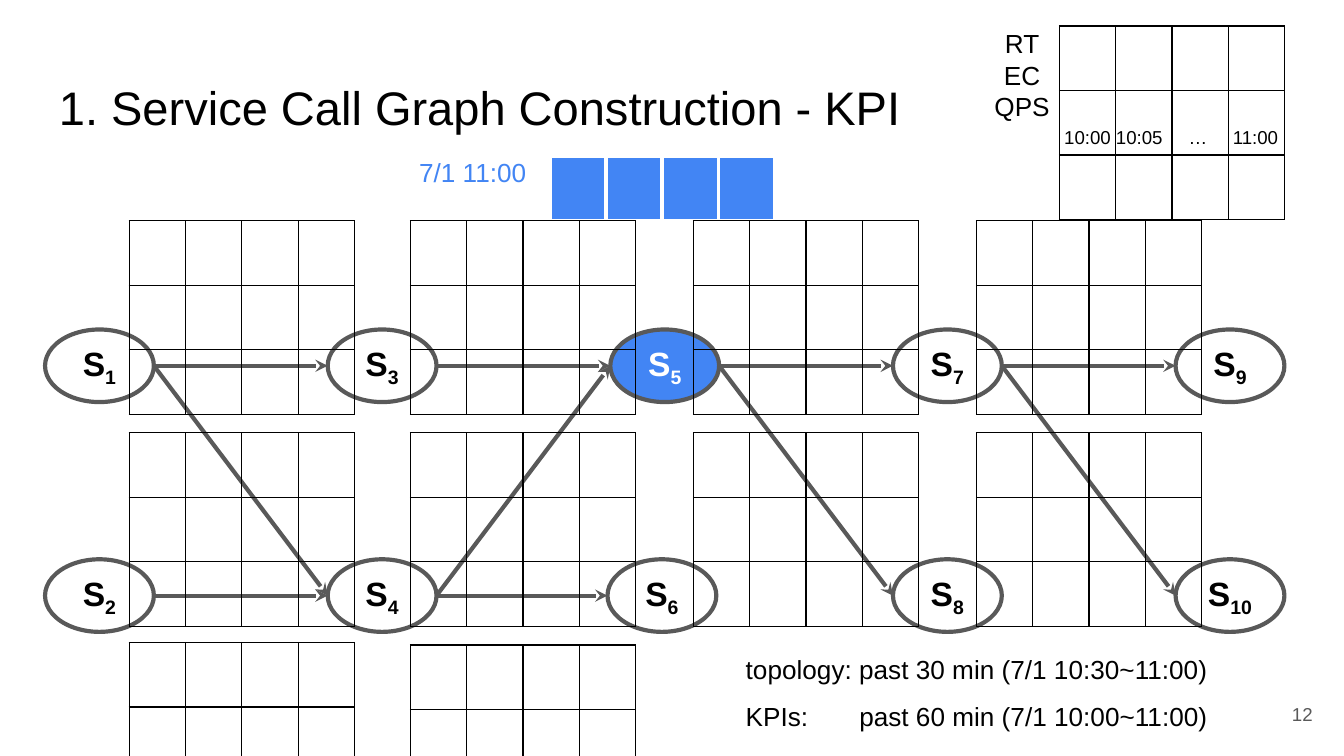
from lxml import etree
from pptx import Presentation
from pptx.dml import color
from pptx.enum import shapes, text
from pptx.oxml import ns
from pptx.util import Inches, Pt

BLACK, WHITE, GRAY, BLUE = "000000", "FFFFFF", "595959", "4285F4"
LEFT, MID, RIGHT = text.PP_ALIGN.LEFT, text.PP_ALIGN.CENTER, text.PP_ALIGN.RIGHT


def rgb(code):
    return color.RGBColor.from_string(code)


def child(node, tag, **attrs):
    return etree.SubElement(node, ns.qn(tag), attrs)


def apply(obj, style):
    for key, val in style.items():
        setattr(obj, key, val)


class Deck:
    face = "Arial"
    unit = 0.1
    wide, high = 100, 56.25
    inset = 1
    stroke = 2.25

    def __init__(self):
        self.prs = Presentation()
        self.prs.slide_width = self.cell(self.wide)
        self.prs.slide_height = self.cell(self.high)
        self.slide = self.prs.slides.add_slide(self.prs.slide_layouts[6])

    def cell(self, count):
        return Inches(count * self.unit)

    def box(self, *cells):
        return [self.cell(count) for count in cells]

    def frame(self, item, anchor, wrap=True):
        gap = self.cell(self.inset)
        apply(item.text_frame, dict(
            word_wrap=wrap, vertical_anchor=anchor, margin_left=gap,
            margin_right=gap, margin_top=gap, margin_bottom=gap))
        return item.text_frame

    def run(self, para, words, size, hue, bold=False):
        run = para.add_run()
        run.text = words
        apply(run.font, dict(name=self.face, size=Pt(size), bold=bold))
        run.font.color.rgb = rgb(hue)
        return run

    def label(self, at, lines, size, hue=BLACK, align=LEFT,
              anchor=text.MSO_ANCHOR.TOP, tabs=()):
        body = self.frame(self.slide.shapes.add_textbox(*self.box(*at)), anchor)
        for num, words in enumerate(lines):
            para = body.add_paragraph() if num else body.paragraphs[0]
            para.alignment = align
            self.run(para, words, size, hue)
            if tabs:
                stops = child(para._p.get_or_add_pPr(), "a:tabLst")
                for stop in tabs:
                    child(stops, "a:tab", pos=str(self.cell(stop)), algn="l")

    def node(self, at, mark, fill=None, hue=BLACK):
        oval = self.slide.shapes.add_shape(shapes.MSO_SHAPE.OVAL, *self.box(*at))
        oval.shadow.inherit = False
        if fill:
            oval.fill.solid()
            oval.fill.fore_color.rgb = rgb(fill)
        else:
            oval.fill.background()
        oval.line.color.rgb = rgb(GRAY)
        oval.line.width = Pt(self.stroke)
        body = self.frame(oval, text.MSO_ANCHOR.MIDDLE, wrap=False)
        para = body.paragraphs[0]
        para.alignment = MID
        self.run(para, "S", 18, hue, True)
        low = self.run(para, mark, 18, hue, True)
        low._r.get_or_add_rPr().set("baseline", "-25000")

    def arrow(self, start, end):
        line = self.slide.shapes.add_connector(
            shapes.MSO_CONNECTOR.STRAIGHT, *self.box(*start, *end))
        line.line.color.rgb = rgb(GRAY)
        line.line.width = Pt(self.stroke)
        child(line.line._get_or_add_ln(), "a:tailEnd", type="stealth")
        child(line._element.spPr, "a:effectLst")

    def edge(self, cell, hue, width):
        props = cell._tc.get_or_add_tcPr()
        for num, side in enumerate("LRTB"):
            line = etree.Element(ns.qn("a:ln" + side), w=str(Pt(width)))
            child(child(line, "a:solidFill"), "a:srgbClr", val=hue)
            props.insert(num, line)

    def table(self, left, top, rows=3, cols=4, fill=None, hue=BLACK, width=0.75):
        at = self.box(left, top, 4.19 * cols, 4.8 * rows)
        grid = self.slide.shapes.add_table(rows, cols, *at).table
        apply(grid, dict(first_row=False, horz_banding=False))
        pad = self.cell(0.5)
        for cell in grid.iter_cells():
            apply(cell, dict(margin_top=pad, margin_bottom=pad))
            if fill:
                cell.fill.solid()
                cell.fill.fore_color.rgb = rgb(fill)
            else:
                cell.fill.background()
            self.edge(cell, hue, width)

    def save(self):
        self.prs.save("out.pptx")


def main():
    deck = Deck()
    deck.label((3.4, 4.87, 93.2, 6.3),
               ["1. Service Call Graph Construction - KPI"], 25.2)
    deck.label((92.65, 51, 6, 4.3), ["12"], 10, GRAY, RIGHT, text.MSO_ANCHOR.MIDDLE)

    wide, high = 8.1, 5.4
    spots = {}
    for num in range(1, 11):
        col, row = divmod(num - 1, 2)
        left = 45.2 if num == 6 else 3.35 + 21.03 * col
        top = 24.52 + 17.1 * row
        spots[num] = left, top + high / 2
        tint = dict(fill=BLUE, hue=WHITE) if num == 5 else {}
        deck.node((left, top, wide, high), str(num), **tint)

    links = [(1, 3), (3, 5), (5, 7), (7, 9), (2, 4), (4, 6),
             (1, 4), (5, 8), (7, 10), (4, 5)]
    for tail, head in links:
        left, mid = spots[tail]
        deck.arrow((left + wide, mid), spots[head])

    deck.table(40.9, 11.6, rows=1, fill=BLUE, hue=WHITE, width=2.25)
    stacks = {9.62: (16.43, 32.2, 47.8), 30.53: (16.43, 32.2, 48),
              51.6: (16.43, 32.2), 72.65: (16.43, 32.2), 78.83: (1.93,)}
    for left, tops in stacks.items():
        for top in tops:
            deck.table(left, top)

    deck.label((72.55, 1.05, 7, 9.1), ["RT", "EC", "QPS"], 14, align=MID)
    deck.label((78.2, 8.5, 18.4, 3.7), ["10:00 10:05\t…\t11:00"], 10,
               tabs=(9.25, 12.55))
    deck.label((30.2, 10.65, 10.4, 4.4), ["7/1 11:00"], 14, BLUE)
    notes = {51.1: "KPIs:\tpast 60 min (7/1 10:00~11:00)",
             47.65: "topology: past 30 min (7/1 10:30~11:00)"}
    for top, words in notes.items():
        deck.label((54.5, top, 40.5, 4.4), [words], 14, tabs=(8.45,))
    deck.save()


if __name__ == "__main__":
    main()
